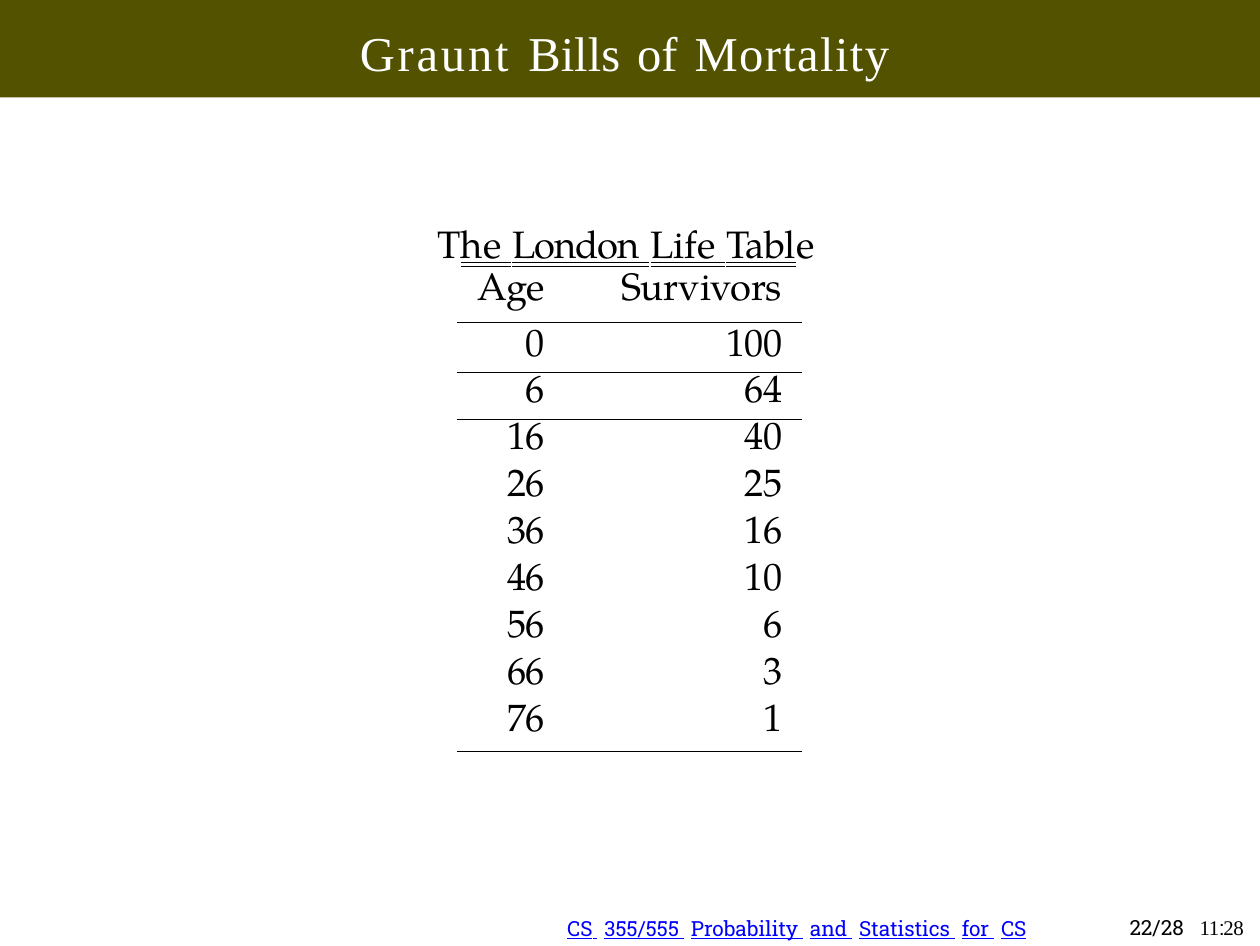
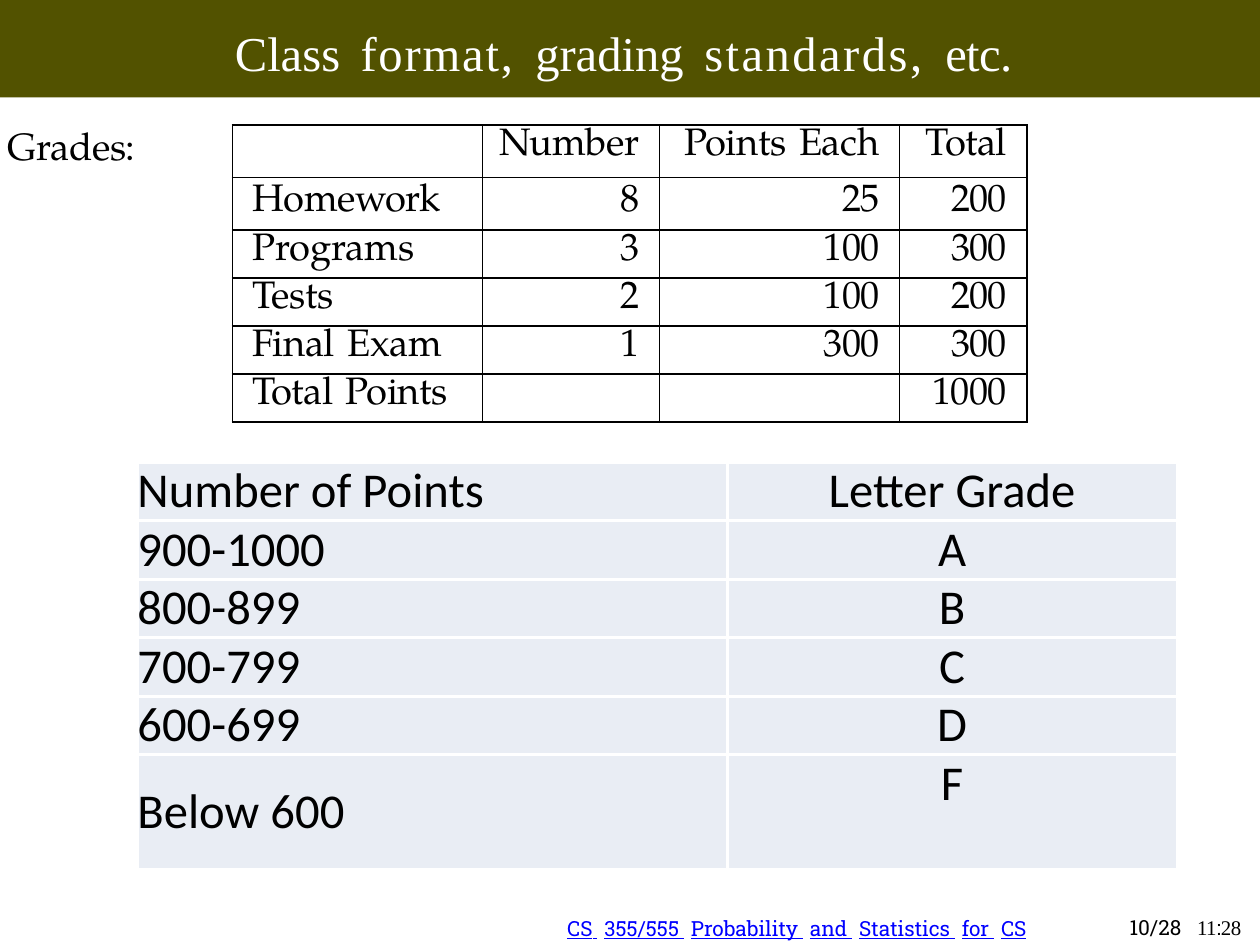
from lxml import etree
from pptx import Presentation
from pptx.dml.color import RGBColor
from pptx.enum.shapes import MSO_SHAPE
from pptx.enum.text import MSO_ANCHOR, MSO_AUTO_SIZE, MSO_UNDERLINE, PP_ALIGN
from pptx.oxml.ns import qn
from pptx.util import Inches, Pt

LEFT, RIGHT, CENTER = PP_ALIGN.LEFT, PP_ALIGN.RIGHT, PP_ALIGN.CENTER
TOP, MIDDLE = MSO_ANCHOR.TOP, MSO_ANCHOR.MIDDLE
RECTANGLE = MSO_SHAPE.RECTANGLE
NO_AUTOSIZE = MSO_AUTO_SIZE.NONE
SINGLE, DOUBLE = MSO_UNDERLINE.SINGLE_LINE, MSO_UNDERLINE.DOUBLE_LINE

SLIDE_W, SLIDE_H, BAND_H = Pt(363), Pt(272.5), Inches(0.39)
OLIVE, WHITE, BLACK, BLUE, PALE = "525200", "FFFFFF", "000000", "0000FF", "E9EDF4"
SERIF, BODY, SLAB, SANS = "Times New Roman", "TeX Gyre Pagella", "Roboto Slab", "Calibri"
TITLE_ONLY = 5
NO_STYLE = "{2D5ABB26-0587-4C30-8999-92F81FD0307C}"

LIFE_TABLE = [("Age", "Survivors"), ("0", "100"), ("6", "64"), ("16", "40"),
              ("26", "25"), ("36", "16"), ("46", "10"), ("56", "6"),
              ("66", "3"), ("76", "1")]
POINTS = [("", "Number", "Points Each", "Total"),
          ("Homework", "8", "25", "200"),
          ("Programs", "3", "100", "300"),
          ("Tests", "2", "100", "200"),
          ("Final Exam", "1", "300", "300"),
          ("Total Points", "", "", "1000")]
LETTER_GRADES = [("Number of Points", "Letter Grade"), ("900-1000", "A"),
                 ("800-899", "B"), ("700-799", "C"), ("600-699", "D"),
                 ("Below 600", "F")]


def rgb(color):
    return RGBColor.from_string(color)


def spaced(words, gap):
    """Join (word, tracking) pairs with spaces that are tracked by gap."""
    runs = []
    for word in words:
        runs += [(" ", gap), word] if runs else [word]
    return runs


def write(paragraph, runs, font, size, color, align=LEFT):
    """Fill a paragraph with (text, tracking) runs in one font; return the runs."""
    paragraph.alignment = align
    paragraph.font.name = font
    paragraph.font.size = Pt(size)
    paragraph.font.color.rgb = rgb(color)
    written = []
    for text, tracking in runs:
        run = paragraph.add_run()
        run.text = text
        if tracking:
            run.font._element.set("spc", str(round(tracking * 100)))
        written.append(run)
    return written


def set_frame(frame, left=0.01, top=0.0):
    """Set the margins of a text frame and return its first paragraph."""
    frame.word_wrap = True
    frame.auto_size = NO_AUTOSIZE
    frame.vertical_anchor = TOP
    frame.margin_left, frame.margin_top = Inches(left), Inches(top)
    frame.margin_right = frame.margin_bottom = 0
    return frame.paragraphs[0]


def add_text(slide, box, **margins):
    frame = slide.shapes.add_textbox(*map(Inches, box)).text_frame
    return set_frame(frame, **margins)


def add_band(slide):
    """Draw the title band and move it to the layout, behind every title."""
    band = slide.shapes.add_shape(RECTANGLE, 0, 0, SLIDE_W, BAND_H)
    band.shadow.inherit = False
    band.fill.solid()
    band.fill.fore_color.rgb = rgb(OLIVE)
    band.line.fill.background()
    band.element.nvSpPr.cNvPr.set("id", "99")
    slide.slide_layout.shapes.element.insert(2, band.element)


def set_title(slide, left, width, words, gap):
    title = slide.shapes.title
    title.left, title.top = Inches(left), Inches(0.07)
    title.width, title.height = Inches(width), Inches(0.27)
    paragraph = set_frame(title.text_frame, top=0.02)
    paragraph.space_before = Pt(1.4)
    write(paragraph, spaced(words, gap), SERIF, 14, WHITE)


def add_footer(slide, page):
    number = add_text(slide, (4.48, 3.66, 0.56, 0.1), left=0.04)
    number.space_before = Pt(0.3)
    runs = write(number, [(page, 0), (" ", 3), ("11", -0.1), (":", -0.1), ("28", -0.1)],
                 SLAB, 6, BLACK)
    for digits in (runs[2], runs[4]):
        digits.font.name = SERIF

    course = add_text(slide, (2.25, 3.67, 2.04, 0.11), left=0.02)
    course.line_spacing = Pt(6.7)
    course.font.underline = SINGLE
    words = "CS 355/555 Probability and Statistics for CS".split()
    write(course, spaced([(word, 0) for word in words], 1.9), SLAB, 6, BLUE)


def set_borders(cell, sides, color, width):
    """Draw lines on the sides of a cell, given in the order L, R, T, B."""
    properties = cell._tc.get_or_add_tcPr()
    for side in sides:
        line = etree.SubElement(properties, qn("a:ln" + side), w=str(Pt(width)))
        fill = etree.SubElement(line, qn("a:solidFill"))
        etree.SubElement(fill, qn("a:srgbClr"), val=color)


def add_table(slide, left, top, columns, heights, rows, fill_cell):
    """Add an unstyled table; fill_cell(cell, text, row, column) formats each cell."""
    frame = slide.shapes.add_table(
        len(rows), len(columns), Inches(left), Inches(top),
        Inches(sum(columns)), Inches(sum(heights)))
    next(frame.element.iter(qn("a:tableStyleId"))).text = NO_STYLE
    table = frame.table
    table.first_row = table.horz_banding = False
    for column, width in zip(table.columns, columns):
        column.width = Inches(width)
    for row, height in zip(table.rows, heights):
        row.height = Inches(height)
    for r, texts in enumerate(rows):
        for c, text in enumerate(texts):
            cell = table.cell(r, c)
            cell.margin_left = cell.margin_right = 0
            cell.margin_top = cell.margin_bottom = 0
            fill_cell(cell, text, r, c)


def fill_plain_cell(cell, text, align, margin, line_spacing):
    cell.fill.background()
    if align == RIGHT:
        cell.margin_right = Inches(margin)
    else:
        cell.margin_left = Inches(margin)
    paragraph = cell.text_frame.paragraphs[0]
    paragraph.line_spacing = Pt(line_spacing)
    tracking = -0.2 if text.isdigit() else -0.1
    runs = spaced([(word, tracking) for word in text.split()], 0.8)
    write(paragraph, runs, BODY, 11, BLACK, align)


def fill_life_cell(cell, text, row, column):
    ruled_above = (1, 2, len(LIFE_TABLE))
    sides = [side for side, edge in (("T", row), ("B", row + 1)) if edge in ruled_above]
    set_borders(cell, sides, BLACK, 0.5)
    fill_plain_cell(cell, text, RIGHT, 0.08 if column else 0.16,
                    {0: 10.4, 1: 12.9}.get(row, 11.7))


def fill_points_cell(cell, text, row, column):
    set_borders(cell, "LRTB", BLACK, 0.5)
    fill_plain_cell(cell, text, RIGHT if column else LEFT, 0.08,
                    12.9 if row == 1 else 11.9)


def fill_grade_cell(cell, text, row, column):
    set_borders(cell, "LRTB", WHITE, 1)
    cell.fill.solid()
    cell.fill.fore_color.rgb = rgb(PALE)
    cell.vertical_anchor = TOP if text == "F" else MIDDLE
    paragraph = cell.text_frame.paragraphs[0]
    paragraph.line_spacing = Pt(16.8)
    write(paragraph, [(text, 0)], SANS, 14, BLACK, CENTER if column else LEFT)


def build_mortality(slide):
    set_title(slide, 1.43, 2.18,
              [("Graunt", 0.8), ("Bills", 0), ("of", 0), ("Mortality", 0.4)], 1.3)
    heading = add_text(slide, (1.74, 0.87, 1.55, 0.21), top=0.01)
    heading.space_before = Pt(0.9)
    runs = write(heading, [("T", 0), ("he", 0), (" ", 0.3), ("London", -0.3), (" ", 0.3),
                           ("Life", 0), (" ", 0.3), ("Tabl", -0.2), ("e", 0)],
                 BODY, 11, BLACK)
    for run in runs[1:-1]:
        run.font.underline = DOUBLE
    heights = [0.19, 0.2] + [1.32 / 7] * 7 + [0.2]
    add_table(slide, 1.83, 1.1, [0.51, 0.87], heights, LIFE_TABLE, fill_life_cell)
    add_footer(slide, "22/28")


def build_grading(slide):
    set_title(slide, 0.93, 3.18, [("Class", 0), ("format,", 0.5), ("grading", 0),
                                  ("standards,", 0.7), ("etc.", -0.2)], 2.3)
    label = add_text(slide, (0.02, 0.48, 0.54, 0.21), top=0.01)
    label.space_before = Pt(0.9)
    write(label, [("Grades:", -0.1)], BODY, 11, BLACK)
    add_table(slide, 0.93, 0.5, [1, 0.71, 0.96, 0.51], [0.21] * 2 + [0.77 / 4] * 4,
              POINTS, fill_points_cell)
    add_footer(slide, "10/28")
    add_table(slide, 0.55, 1.85, [2.36, 1.8], [0.23] * 5 + [0.46],
              LETTER_GRADES, fill_grade_cell)


def main():
    deck = Presentation()
    deck.slide_width, deck.slide_height = SLIDE_W, SLIDE_H
    layout = deck.slide_layouts[TITLE_ONLY]
    mortality = deck.slides.add_slide(layout)
    add_band(mortality)
    build_mortality(mortality)
    build_grading(deck.slides.add_slide(layout))
    deck.save("out.pptx")


if __name__ == "__main__":
    main()
